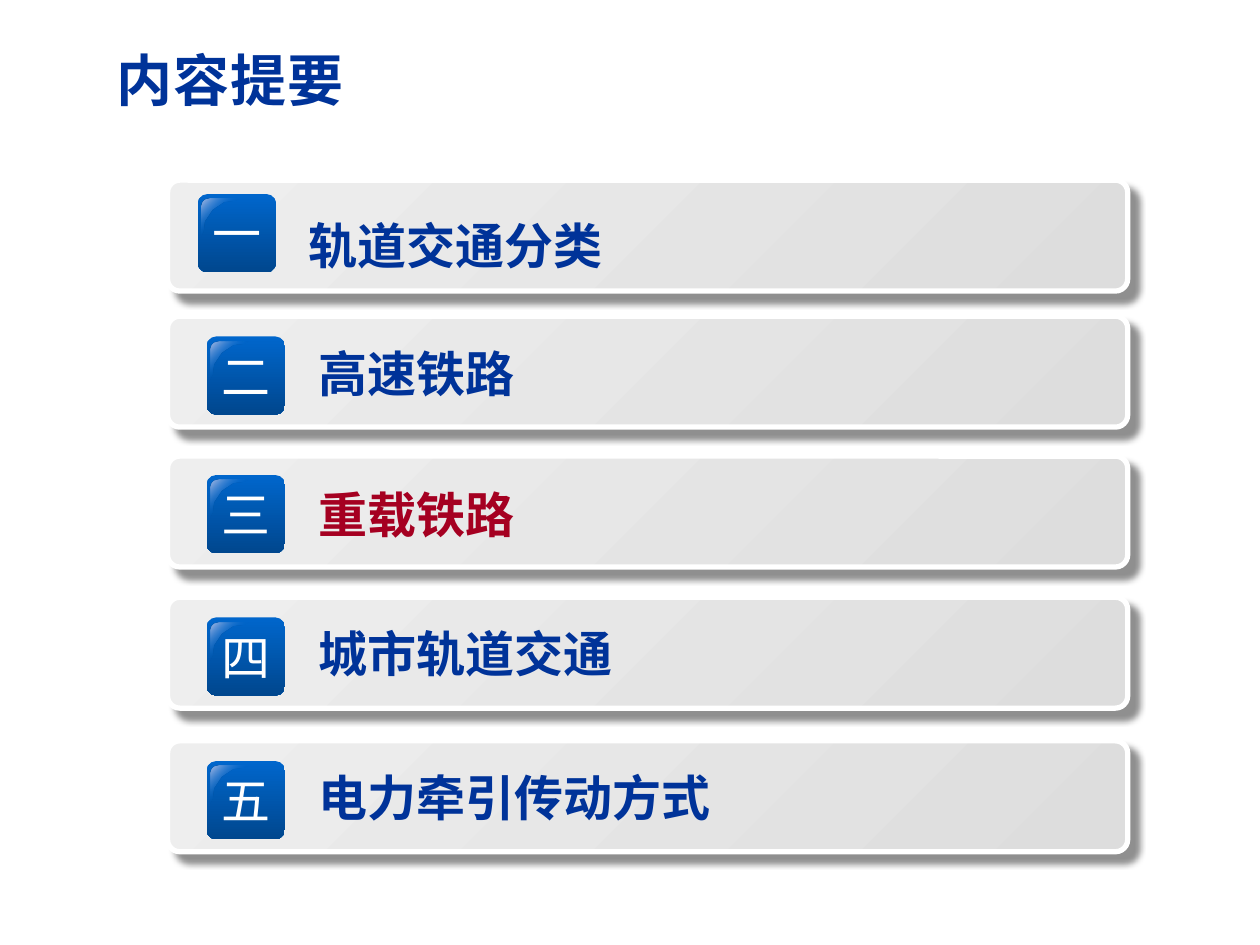
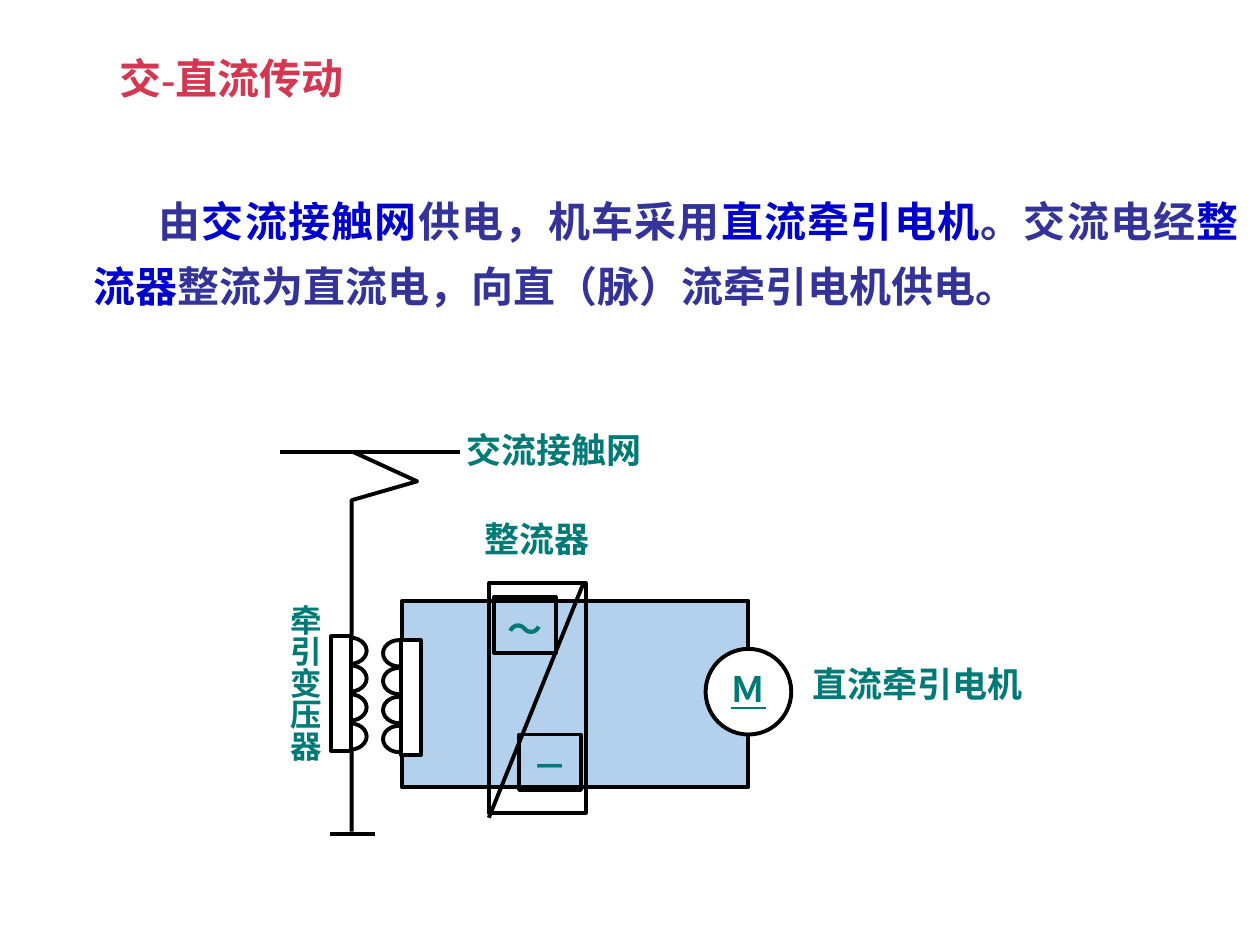
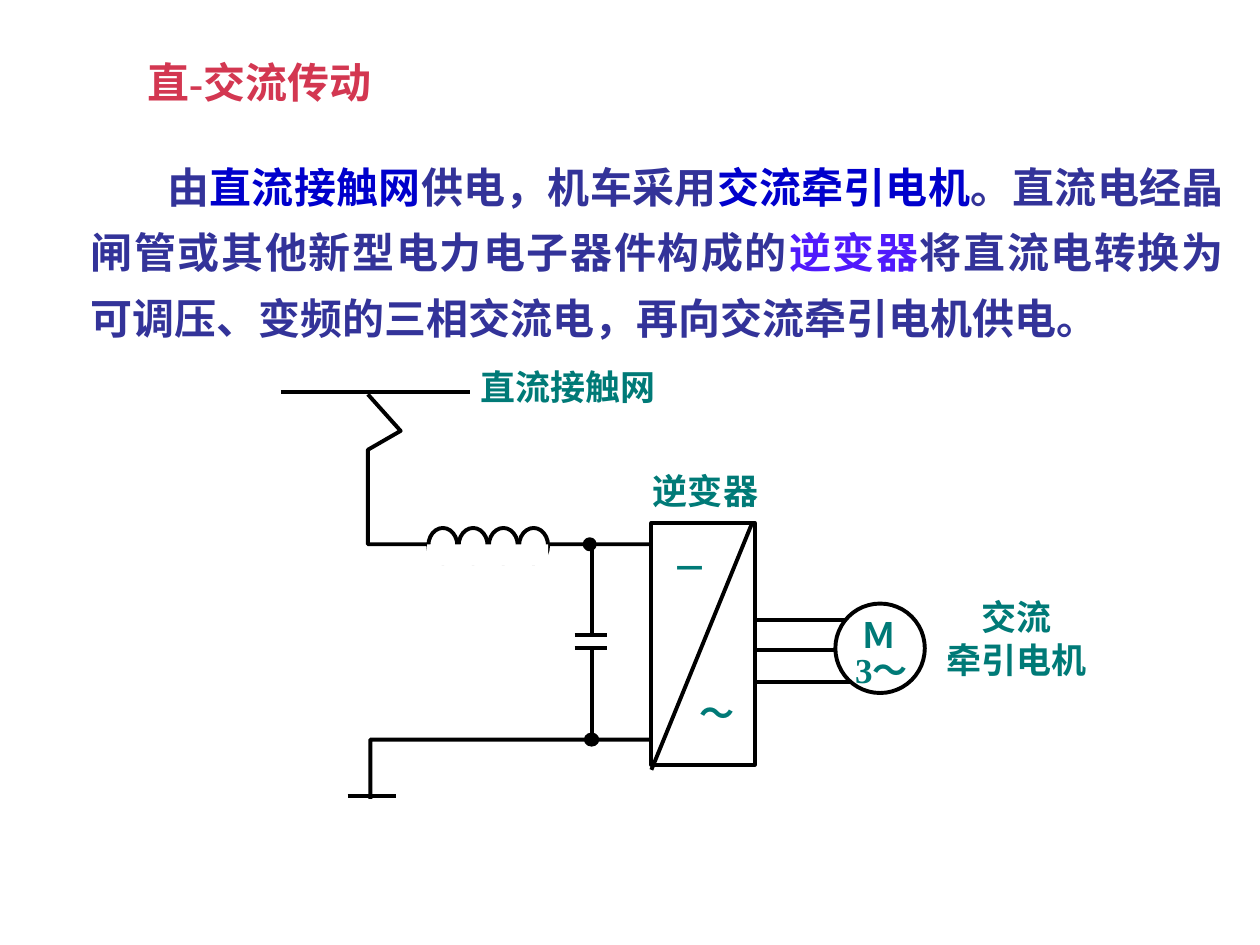
from lxml import etree
from pptx import Presentation
from pptx import util as u
from pptx.dml.color import RGBColor
from pptx.enum import shapes, text
from pptx.oxml import ns

PX = 9144  # EMU in one px, 100 px to the inch
CJK = "Noto Sans CJK SC"
TIMES = "Times New Roman"
COLOURS = {
    "navy": "003399", "red": "A50021", "title red": "D33751", "body": "333399",
    "blue": "0000CC", "violet": "501AFC", "teal": "007A77", "load": "5E9CDA",
    "white": "FFFFFF", "black": "000000", "bar light": "EEEEEE", "bar dark": "DDDDDD",
    "tile light": "0066CC", "tile dark": "00478E", "gloss": "B5C0E5",
}
CENTER, LEFT, JUSTIFY = text.PP_ALIGN.CENTER, text.PP_ALIGN.LEFT, text.PP_ALIGN.JUSTIFY
ROUND = shapes.MSO_SHAPE.ROUNDED_RECTANGLE


def write(shape, paras, insets=(10, 5, 10, 5), align=LEFT, **font):
    """Fill a shape with paragraphs, each a list of (words, colour name)."""
    frame = shape.text_frame
    frame.word_wrap = True
    frame.vertical_anchor = text.MSO_ANCHOR.TOP
    for side, inset in zip(("left", "top", "right", "bottom"), insets):
        setattr(frame, f"margin_{side}", inset * PX)
    for number, runs in enumerate(paras):
        para = frame.add_paragraph() if number else frame.paragraphs[0]
        para.alignment = align
        for words, colour in runs:
            span = para.add_run()
            span.text = words
            for name, value in font.items():
                setattr(span.font, name, value)
            span.font.color.rgb = RGBColor.from_string(COLOURS[colour])
            east = etree.Element(ns.qn("a:ea"), typeface=CJK)
            span.font._element.find(ns.qn("a:latin")).addnext(east)
    return frame


def blend(shape, angle, stops):
    """Give a shape a gradient of (percent, colour name, opacity) stops and no line."""
    marks = "".join(
        f'<a:gs pos="{place * 1000}"><a:srgbClr val="{COLOURS[colour]}">'
        f'<a:alpha val="{opacity * 1000}"/></a:srgbClr></a:gs>'
        for place, colour, opacity in stops)
    shape._element.spPr.insert(2, etree.fromstring(
        f'<a:gradFill {ns.nsdecls("a")} rotWithShape="1"><a:gsLst>{marks}</a:gsLst>'
        f'<a:lin ang="{angle * 60000}" scaled="0"/></a:gradFill>'))
    shape.line.fill.background()
    shape.shadow.inherit = False


deck = Presentation()
deck.slide_width, deck.slide_height = 1000 * PX, 750 * PX

# Slides and their titles
titles = [
    ("内容提要", (83, 24, 867, 77), "navy", 32, CJK),
    ("交-直流传动", (85, 32, 900, 60), "title red", 24, TIMES),
    ("直-交流传动", (107, 35, 900, 60), "title red", 24, TIMES),
]
pages = []
for words, place, colour, size, face in titles:
    page = deck.slides.add_slide(deck.slide_layouts[6])
    pages.append(page)
    box = page.shapes.add_textbox(*[n * PX for n in place])
    frame = write(box, [[(words, colour)]], size=u.Pt(size), bold=True, name=face)
    frame.vertical_anchor = text.MSO_ANCHOR.MIDDLE
    props = frame.paragraphs[0].runs[0].font._element
    if face == CJK:
        props.set("spc", "50")
    props.find(ns.qn("a:solidFill")).addnext(etree.fromstring(
        f'<a:effectLst {ns.nsdecls("a")}><a:outerShdw dist="38100" dir="2700000">'
        '<a:srgbClr val="000000"/></a:outerShdw></a:effectLst>'))

# Agenda: bar top, tile left and top, label left and top
agenda = [
    ("一", "轨道交通分类", "navy", 143, (157, 154), (235, 166)),
    ("二", "高速铁路", "navy", 251, (164, 267), (243, 268)),
    ("三", "重载铁路", "red", 362, (164, 377), (243, 380)),
    ("四", "城市轨道交通", "navy", 474, (164, 490), (243, 490)),
    ("五", "电力牵引传动方式", "navy", 588, (164, 604), (243, 604)),
]
gloss_outline = [(7, 0), (3, 1), (1, 3), (0, 6), (0, 30), (2, 26), (3, 18),
                 (9, 9), (18, 3), (27, 2), (31, 0)]
canvas = pages[0].shapes
for numeral, topic, colour, bar_top, (left, top), label_at in agenda:
    bar = canvas.add_shape(ROUND, 133 * PX, bar_top * PX, 762 * PX, 88 * PX)
    bar.adjustments[0] = 0.11
    blend(bar, 45, [(0, "bar light", 100), (100, "bar dark", 100)])
    bar.line.color.rgb = RGBColor.from_string(COLOURS["white"])
    bar.line.width = u.Pt(3)
    bar._element.spPr.find(ns.qn("a:effectLst")).append(etree.fromstring(
        f'<a:outerShdw {ns.nsdecls("a")} blurRad="50800" dist="88900" dir="2700000" '
        'algn="ctr" rotWithShape="0"><a:srgbClr val="000000"><a:alpha val="44000"/>'
        '</a:srgbClr></a:outerShdw>'))

    tile = canvas.add_shape(ROUND, left * PX, top * PX, 62 * PX, 62 * PX)
    tile.adjustments[0] = 0.12
    blend(tile, 90, [(0, "tile light", 100), (100, "tile dark", 100)])
    points = [(left + 3 + x, top + 4 + y) for x, y in gloss_outline]
    outline = canvas.build_freeform(*points[0], scale=PX)
    outline.add_line_segments(points[1:], close=True)
    blend(outline.convert_to_shape(), 45,
          [(0, "gloss", 100), (50, "tile light", 0), (100, "gloss", 100)])

    box = canvas.add_textbox((left + 1) * PX, (top + 3) * PX, 60 * PX, 57 * PX)
    write(box, [[(numeral, "white")]], (0, 5, 0, 5), CENTER, size=u.Pt(28), name=CJK)
    box = canvas.add_textbox(*[n * PX for n in label_at], 610 * PX, 57 * PX)
    write(box, [[(topic, colour)]], size=u.Pt(28), bold=True, name=CJK)

# Explanations: page, place, first-line indent, runs
explanations = [
    (pages[1], (64, 138, 929, 141), 52, [
        ("由", "body"), ("交流接触网", "blue"), ("供电，机车采用", "body"),
        ("直流牵引电机", "blue"), ("。交流电经", "body"), ("整流器", "blue"),
        ("整流为直流电，向直（脉）流牵引电机供电。", "body")]),
    (pages[2], (62, 111, 919, 172), 61, [
        ("由", "body"), ("直流接触网", "blue"), ("供电，机车采用", "body"),
        ("交流牵引电机", "blue"),
        ("。直流电经晶闸管或其他新型电力电子器件构成的", "body"), ("逆变器", "violet"),
        ("将直流电转换为可调压、变频的三相交流电，再向交流牵引电机供电。", "body")]),
]
for page, place, indent, runs in explanations:
    box = page.shapes.add_textbox(*[n * PX for n in place])
    para = write(box, [runs], align=JUSTIFY, size=u.Pt(24), bold=True,
                 name=TIMES).paragraphs[0]
    para.line_spacing = 1.3
    para._p.get_or_add_pPr().set("marL", "0")
    para._p.get_or_add_pPr().set("indent", str(indent * PX))

# Circuit parts from back to front: kind, geometry, fill, words
transformer = []
for loop_left, loop_top, loop_width, core in [(264, 506, 27, (263, 505, 16, 91)),
                                              (304, 508, 26, (318, 508, 16, 91))]:
    transformer += [("oval", (loop_left, loop_top + i * 68 // 3, loop_width, 21), "white", "")
                    for i in range(4)]
    transformer.append(("rect", core, "white", ""))

rectifier_circuit = [
    ("rect", (319, 477, 275, 148), "load", ""),
    ("line", (222, 359, 365, 359), "", ""),
    ("line", (262, 662, 298, 662), "", ""),
    ("wire", [(281, 359), (331, 382), (279, 397), (279, 660)], "", ""),
    *transformer,
    ("oval", (560, 515, 68, 68), "white", ""),
    ("sign", (569, 522, 50, 45), "", "Ｍ"),
    ("column", (224, 479, 35, 154), "", "牵引变压器"),
    ("label", (355, 410, 142, 37), "", "整流器"),
    ("label", (633, 525, 190, 37), "", "直流牵引电机"),
    ("label", (352, 339, 176, 37), "", "交流接触网"),
    ("rect", (388, 463, 77, 182), "", ""),
    ("line", (463, 463, 388, 649), "", ""),
    ("rect", (392, 474, 49, 44), "", "～"),
    ("rect", (412, 583, 49, 44), "", "－"),
]
inverter_circuit = [
    *[("line", (598, y, 688, y), "", "") for y in (492, 516, 541)],
    ("wire", [(292, 313), (318, 342), (292, 357), (292, 432), (568, 432),
              (568, 587), (294, 587), (294, 634)], "", ""),
    *[("oval", (340 + i * 24, 419, 23, 28), "white", "") for i in range(4)],
    ("mask", (339, 432, 96, 17), "white", ""),
    ("rect", (517, 415, 82, 192), "white", ""),
    ("line", (597, 415, 517, 611), "", ""),
    ("line", (223, 311, 373, 311), "", ""),
    ("line", (276, 632, 314, 632), "", ""),
    ("line", (470, 432, 470, 503), "", ""),
    ("line", (470, 516, 470, 587), "", ""),
    *[("line", (456, y, 482, y), "", "") for y in (504, 514)],
    ("oval", (464, 428, 8, 8), "black", ""),
    ("oval", (465, 583, 9, 8), "black", ""),
    ("sign", (522, 426, 52, 47), "", "－"),
    ("sign", (543, 541, 52, 47), "", "～"),
    ("oval", (663, 479, 71, 71), "white", ""),
    ("sign", (672, 479, 52, 47), "", "Ｍ"),
    ("sign", (665, 507, 69, 47), "", "3～"),
    ("label", (488, 372, 144, 36), "", "逆变器"),
    ("label", (742, 472, 129, 69), "", "交流\n牵引电机"),
    ("label", (367, 289, 168, 36), "", "直流接触网"),
]

for page, circuit in [(pages[1], rectifier_circuit), (pages[2], inverter_circuit)]:
    for kind, place, fill, words in circuit:
        if kind == "wire":
            outline = page.shapes.build_freeform(*place[0], scale=PX)
            outline.add_line_segments(place[1:], close=False)
            part = outline.convert_to_shape()
        else:
            place = [n * PX for n in place]
            if kind == "line":
                part = page.shapes.add_connector(shapes.MSO_CONNECTOR.STRAIGHT, *place)
                etree.SubElement(part._element.spPr, ns.qn("a:effectLst"))
            elif kind in ("rect", "oval", "mask"):
                preset = shapes.MSO_SHAPE.OVAL if kind == "oval" else shapes.MSO_SHAPE.RECTANGLE
                part = page.shapes.add_shape(preset, *place)
            else:
                part = page.shapes.add_textbox(*place)

        # Fill and outline
        if kind in ("rect", "oval", "mask", "wire"):
            part.shadow.inherit = False
            if fill:
                part.fill.solid()
                part.fill.fore_color.rgb = RGBColor.from_string(COLOURS[fill])
            else:
                part.fill.background()
            if fill == "load":
                tint = part._element.spPr.find(".//" + ns.qn("a:srgbClr"))
                etree.SubElement(tint, ns.qn("a:alpha"), val="47000")
        if kind == "mask":
            part.line.fill.background()
        elif kind in ("rect", "oval", "wire", "line"):
            part.line.color.rgb = RGBColor.from_string(COLOURS["black"])
            part.line.width = u.Pt(2.25)

        # Words
        if words:
            column = kind == "column"
            frame = write(part, [[(row, "teal")] for row in words.split("\n")],
                          (2, 8, 2, 0) if kind in ("rect", "sign") else (2, 1, 2, 1),
                          CENTER, size=u.Pt(18 if column else 20), bold=True,
                          name="Arial" if column else TIMES)
            if column:
                frame._txBody.bodyPr.set("vert", "eaVert")
            if words == "Ｍ" and page is pages[1]:
                frame.paragraphs[0].runs[0].font.underline = True

deck.save("out.pptx")
